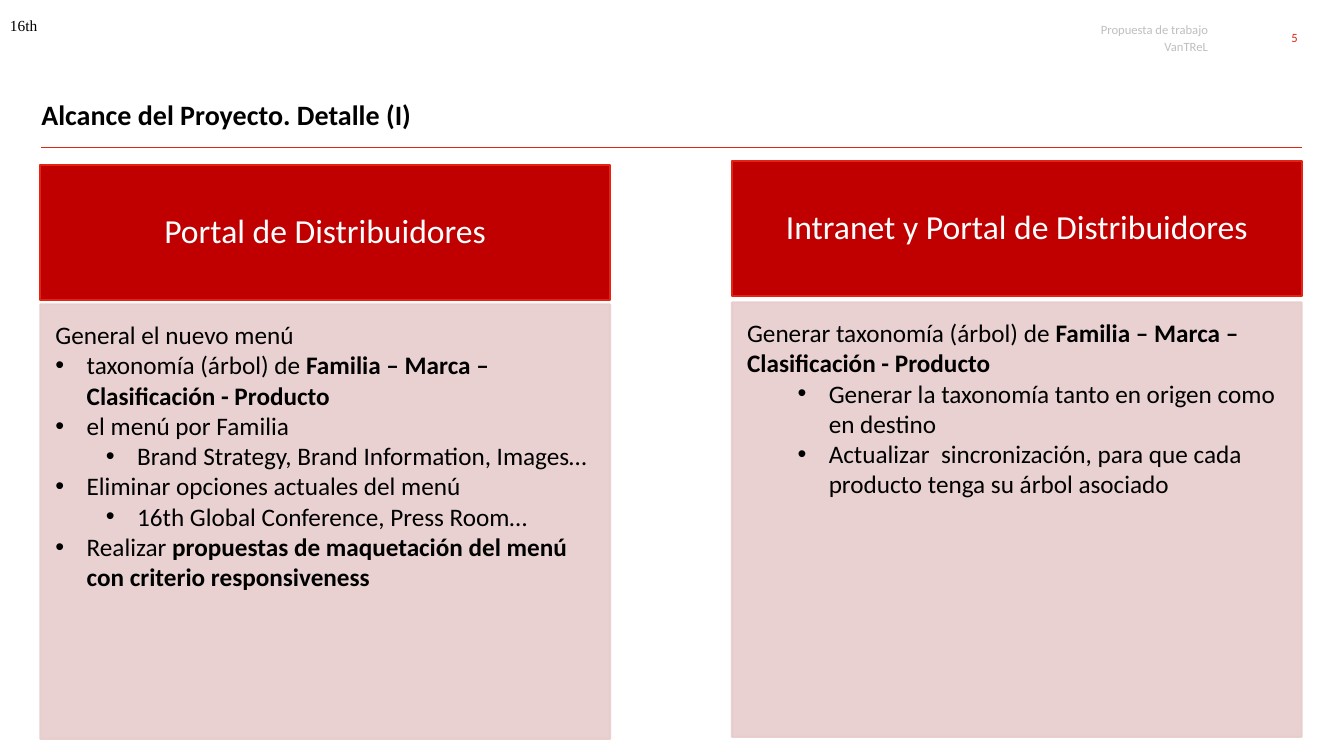
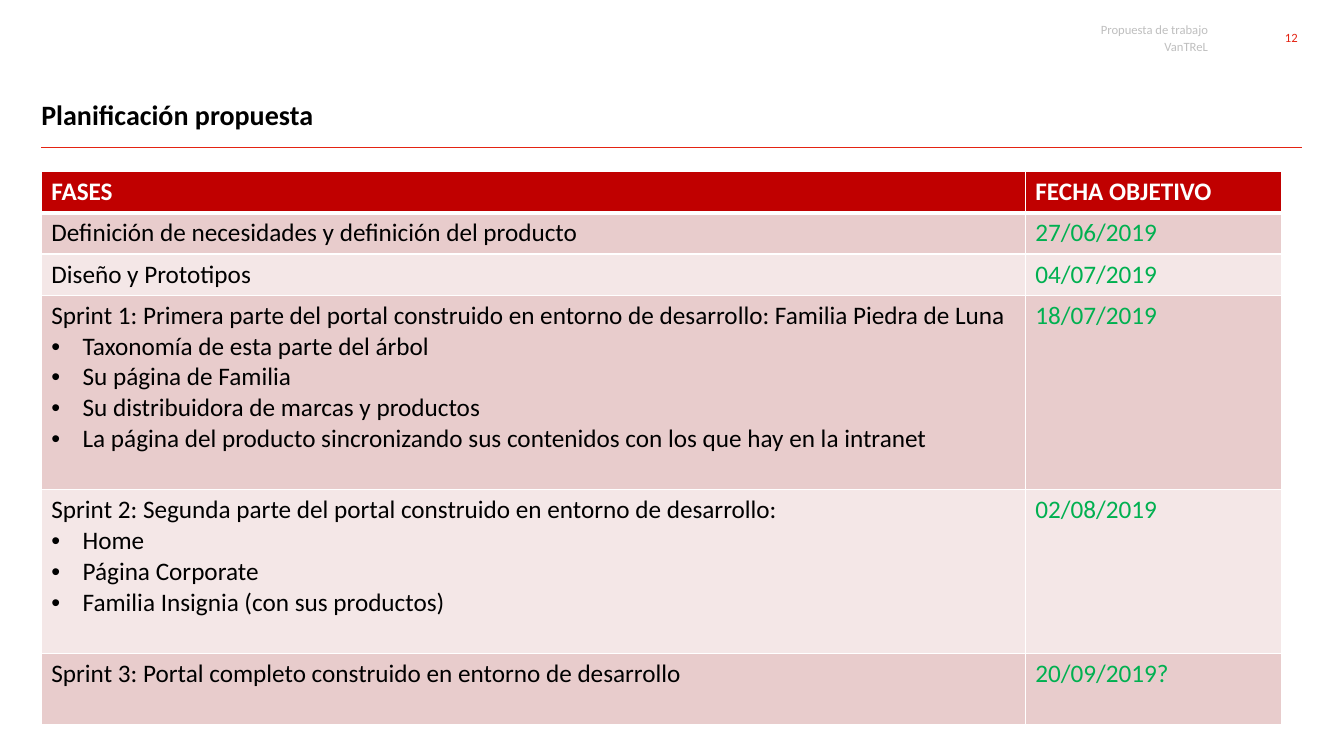
"""Build two slides of a work proposal: project scope and planning."""
from lxml import etree
from pptx import Presentation
from pptx.dml.color import RGBColor
from pptx.enum.shapes import MSO_CONNECTOR, MSO_SHAPE
from pptx.enum.text import MSO_ANCHOR, PP_ALIGN
from pptx.oxml.ns import qn
from pptx.util import Inches, Pt

LEFT, CENTER, RIGHT = PP_ALIGN.LEFT, PP_ALIGN.CENTER, PP_ALIGN.RIGHT
TOP, MIDDLE = MSO_ANCHOR.TOP, MSO_ANCHOR.MIDDLE
STRAIGHT, RECTANGLE = MSO_CONNECTOR.STRAIGHT, MSO_SHAPE.RECTANGLE

COLORS = {
    "accent": "E42312",
    "header": "C00000",
    "panel": "E8CCCC",
    "band": "F4E7E7",
    "text": "000000",
    "muted": "BFBFBF",
    "date": "00B050",
    "white": "FFFFFF",
}
FONT = "Calibri"
MARGIN = 0.41
RIGHT_EDGE = 12.91
HANGING = 0.31
LEVEL_INDENTS = {1: 0.31, 2: 0.81}
PANEL_WIDTH = 5.65
HEADING_HEIGHT = 1.34
BODY_HEIGHT = 4.31

SCOPE_PANELS = [
    (0.4, 1.64, 3.02, "Portal de Distribuidores", [
        (0, "General el nuevo menú"),
        (1, "taxonomía (árbol) de** Familia – Marca – Clasificación - Producto**"),
        (1, "el menú por Familia"),
        (2, "Brand Strategy, Brand Information, Images…"),
        (1, "Eliminar opciones actuales del menú"),
        (2, "16th Global Conference, Press Room…"),
        (1, "Realizar **propuestas de maquetación del menú con criterio responsiveness**"),
    ]),
    (7.26, 1.6, 3.0, "Intranet y Portal de Distribuidores", [
        (0, "Generar taxonomía (árbol) de** Familia – Marca – Clasificación - Producto**"),
        (2, "Generar la taxonomía tanto en origen como en destino"),
        (2, "Actualizar  sincronización, para que cada producto tenga su árbol asociado"),
    ]),
]

PHASE_HEADER = ("FASES", "FECHA OBJETIVO")
PHASES = [
    (0.41, "27/06/2019", [(0, "Definición de necesidades y definición del producto")]),
    (0.41, "04/07/2019", [(0, "Diseño y Prototipos")]),
    (1.93, "18/07/2019", [
        (0, "Sprint 1: Primera parte del portal construido en entorno de desarrollo: "
            "Familia Piedra de Luna"),
        (1, "Taxonomía de esta parte del árbol"),
        (1, "Su página de Familia"),
        (1, "Su distribuidora de marcas y productos"),
        (1, "La página del producto sincronizando sus contenidos con los que hay en la intranet"),
    ]),
    (1.62, "02/08/2019", [
        (0, "Sprint 2: Segunda parte del portal construido en entorno de desarrollo:"),
        (1, "Home"),
        (1, "Página Corporate"),
        (1, "Familia Insignia (con sus productos)"),
    ]),
    (0.71, "20/09/2019?", [
        (0, "Sprint 3: Portal completo construido en entorno de desarrollo"),
    ]),
]


def rgb(name):
    """Return the named colour."""
    return RGBColor.from_string(COLORS[name])


def add_bullet(paragraph, level):
    """Give a paragraph a hanging bullet at the level's indent."""
    properties = paragraph._p.get_or_add_pPr()
    properties.set("marL", str(Inches(LEVEL_INDENTS[level])))
    properties.set("indent", str(-Inches(HANGING)))
    etree.SubElement(properties, qn("a:buFont")).set("typeface", "Arial")
    etree.SubElement(properties, qn("a:buChar")).set("char", "•")


def write(frame, lines, size, color, align=LEFT, bold=False, font=FONT):
    """Fill a text frame with (level, text) lines; ** toggles bold."""
    for index, (level, text) in enumerate(lines):
        paragraph = frame.add_paragraph() if index else frame.paragraphs[0]
        paragraph.alignment = align
        if level:
            add_bullet(paragraph, level)
        paragraph.font.name = font
        paragraph.font.size = Pt(size)
        paragraph.font.color.rgb = rgb(color)
        paragraph.font.bold = bold
        for part, words in enumerate(text.split("**")):
            if words:
                run = paragraph.add_run()
                run.text = words
                if part % 2:
                    run.font.bold = True


def set_frame(frame, insets, anchor, wrap=True):
    """Set insets (left, top, right, bottom), anchor and wrapping."""
    frame.margin_left, frame.margin_top, frame.margin_right, frame.margin_bottom = (
        Inches(inset) for inset in insets)
    frame.vertical_anchor = anchor
    frame.word_wrap = wrap


def add_label(slide, box, text, size, color, align=LEFT, bold=False, font=FONT,
              insets=(0, 0, 0, 0), anchor=MIDDLE, wrap=True):
    """Add one line of text in a box."""
    frame = slide.shapes.add_textbox(*map(Inches, box)).text_frame
    set_frame(frame, insets, anchor, wrap)
    write(frame, [(0, text)], size, color, align, bold, font)


def add_block(slide, box, fill, line, insets, anchor, opacity=100):
    """Add a filled rectangle and return its text frame."""
    block = slide.shapes.add_shape(RECTANGLE, *map(Inches, box))
    block.shadow.inherit = False
    block.fill.solid()
    block.fill.fore_color.rgb = rgb(fill)
    block.line.color.rgb = rgb(line)
    block.line.width = Pt(1.5)
    if opacity < 100:
        for color in list(block._element.spPr.iter(qn("a:srgbClr"))):
            etree.SubElement(color, qn("a:alpha")).set("val", str(opacity * 1000))
    set_frame(block.text_frame, insets, anchor)
    return block.text_frame


def add_panel(slide, left, heading_top, body_top, heading, lines):
    """Add a red heading with a pale body of bullets under it."""
    title = add_block(slide, (left, heading_top, PANEL_WIDTH, HEADING_HEIGHT),
                      "header", "accent", (0.2, 0.12, 0.2, 0.12), MIDDLE)
    write(title, [(0, heading)], 24, "white", CENTER)
    title.paragraphs[0].line_spacing = 0.9
    body = add_block(slide, (left, body_top, PANEL_WIDTH, BODY_HEIGHT),
                     "panel", "panel", (0.15, 0.15, 0.2, 0.23), TOP, opacity=90)
    write(body, lines, 18, "text")


def add_cell_borders(cell, bottom):
    """Draw white borders, with the bottom one of the given width."""
    properties = cell._tc.get_or_add_tcPr()
    for side, width in (("L", 1), ("R", 1), ("T", 1), ("B", bottom)):
        border = etree.SubElement(properties, qn(f"a:ln{side}"), w=str(Pt(width)))
        fill = etree.SubElement(border, qn("a:solidFill"))
        etree.SubElement(fill, qn("a:srgbClr")).set("val", COLORS["white"])


def fill_cell(cell, lines, fill, color, bold=False, bottom=1):
    """Write and colour one table cell."""
    add_cell_borders(cell, bottom)
    cell.fill.solid()
    cell.fill.fore_color.rgb = rgb(fill)
    write(cell.text_frame, lines, 18, color, bold=bold)


def add_phase_table(slide):
    """Add the table of phases and target dates."""
    heights = [0.41] + [height for height, _, _ in PHASES]
    widths = (9.76, 2.54)
    table = slide.shapes.add_table(
        len(heights), len(widths), Inches(MARGIN), Inches(1.7),
        Inches(sum(widths)), Inches(sum(heights))).table
    for column, width in zip(table.columns, widths):
        column.width = Inches(width)
    for row, height in zip(table.rows, heights):
        row.height = Inches(height)
    for column, heading in enumerate(PHASE_HEADER):
        fill_cell(table.cell(0, column), [(0, heading)], "header", "white",
                  bold=True, bottom=3)
    for row, (_, date, lines) in enumerate(PHASES, start=1):
        fill = "panel" if row % 2 else "band"
        fill_cell(table.cell(row, 0), lines, fill, "text")
        fill_cell(table.cell(row, 1), [(0, date)], fill, "date")


def add_base_slide(deck, title, number):
    """Add a slide with the shared header, title and rule."""
    slide = deck.slides.add_slide(deck.slide_layouts[6])
    add_label(slide, (12.42, 0.25, 0.45, 0.24), number, 9, "accent", RIGHT,
              insets=(0.1, 0.05, 0, 0.05), anchor=TOP)
    rule = slide.shapes.add_connector(
        STRAIGHT, Inches(MARGIN), Inches(1.46), Inches(RIGHT_EDGE), Inches(1.46))
    rule.line.color.rgb = rgb("accent")
    rule.line.width = Pt(0.75)
    etree.SubElement(rule._element.spPr, qn("a:effectLst"))
    add_label(slide, (MARGIN, 0.97, 12.49, 0.33), title, 20, "text", bold=True, anchor=TOP)
    add_label(slide, (7.48, 0.21, 4.5, 0.16), "Propuesta de trabajo", 9, "muted", RIGHT)
    add_label(slide, (8.98, 0.38, 3, 0.16), "VanTReL", 9, "muted", RIGHT)
    return slide


def main():
    """Build and save the deck."""
    deck = Presentation()
    deck.slide_width, deck.slide_height = Inches(13.33), Inches(7.5)

    scope = add_base_slide(deck, "Alcance del Proyecto. Detalle (I)", "5")
    for panel in SCOPE_PANELS:
        add_panel(scope, *panel)
    add_label(scope, (0, 0.13, 0.48, 0.24), "16th", 11, "text", font="Times New Roman",
              insets=(0.1, 0, 0.1, 0), wrap=False)

    planning = add_base_slide(deck, "Planificación propuesta", "12")
    add_phase_table(planning)

    deck.save("out.pptx")


if __name__ == "__main__":
    main()
